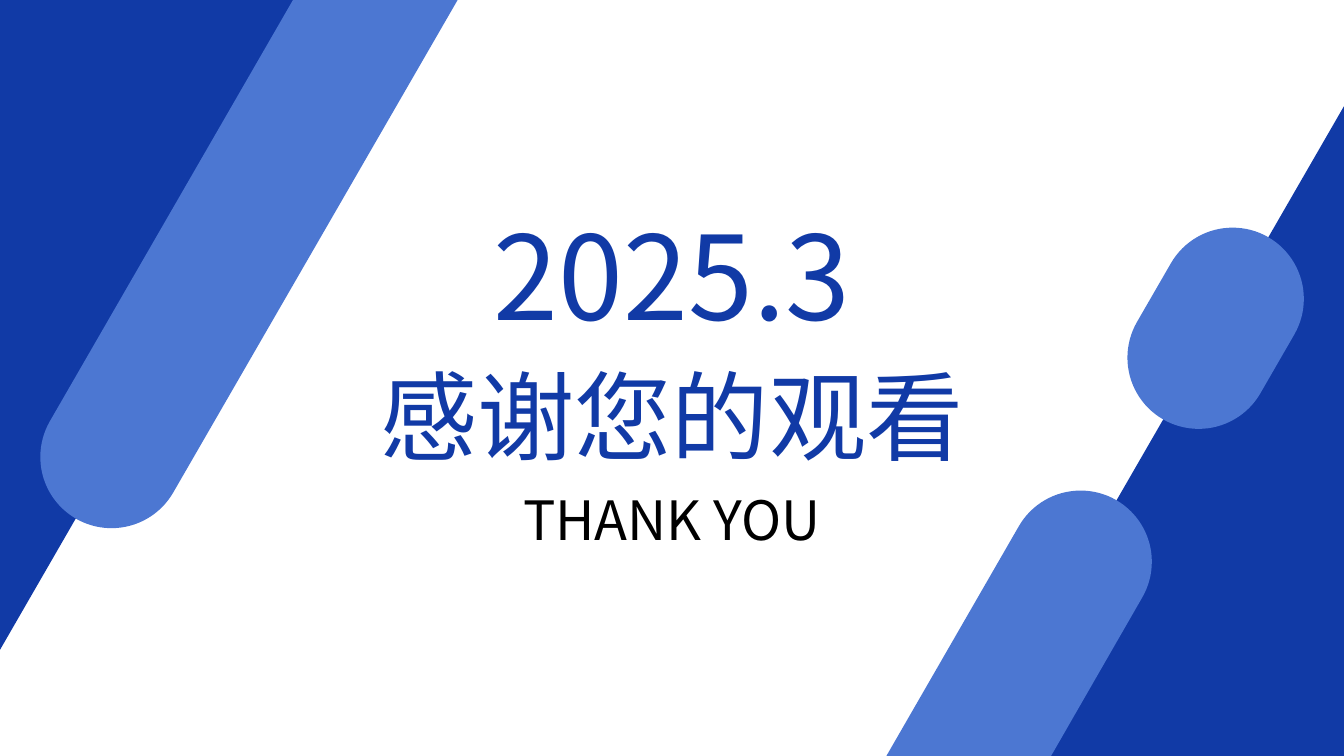
import math

from lxml import etree
from pptx import Presentation
from pptx.dml.color import RGBColor
from pptx.enum.shapes import MSO_SHAPE
from pptx.enum.text import MSO_AUTO_SIZE, PP_ALIGN
from pptx.oxml.ns import qn
from pptx.util import Inches, Pt

ROUNDED = MSO_SHAPE.ROUNDED_RECTANGLE
CENTER = PP_ALIGN.CENTER
GROW = MSO_AUTO_SIZE.SHAPE_TO_FIT_TEXT

WIDTH, HEIGHT = 20, 11.25
CORNER_W, CORNER_H = 5.58, 9.67
CAP_RADIUS = 1.06
NAVY, BLUE, BLACK = "113AA6", "4C77D2", "000000"


def rgb(color):
    return RGBColor.from_string(color)


class Deck:
    font = "Noto Sans CJK SC"

    def __init__(self):
        self.prs = Presentation()
        self.prs.slide_width = Inches(WIDTH)
        self.prs.slide_height = Inches(HEIGHT)
        self.s = self.prs.slides.add_slide(self.prs.slide_layouts[6])

    def paint(self, sp, color):
        sp.shadow.inherit = False
        sp.fill.solid()
        sp.fill.fore_color.rgb = rgb(color)
        sp.line.fill.background()

    def polygon(self, points, color):
        points = [(Inches(x), Inches(y)) for x, y in points]
        builder = self.s.shapes.build_freeform(*points[0])
        builder.add_line_segments(points[1:], close=True)
        sp = builder.convert_to_shape()
        self.paint(sp, color)
        return sp

    def capped_band(self, edge, cx, cy, start, color):
        angles = [math.radians(start + turn) for turn in (0, 60, 150, 180)]

        def on_arc(angle, tangent=0):
            cos, sin = math.cos(angle), math.sin(angle)
            return cx + CAP_RADIUS * (cos - tangent * sin), cy + CAP_RADIUS * (sin + tangent * cos)

        sp = self.polygon(edge + [on_arc(a) for a in angles], color)
        lines = list(sp._element.iter(qn("a:lnTo")))[-3:]
        for line, a, b in zip(lines, angles, angles[1:]):
            k = 4 / 3 * math.tan((b - a) / 4)
            curve = etree.Element(qn("a:cubicBezTo"))
            for x, y in (on_arc(a, k), on_arc(b, -k)):
                etree.SubElement(curve, qn("a:pt"), x=str(Inches(x) - sp.left), y=str(Inches(y) - sp.top))
            curve.append(line[0])
            line.getparent().replace(line, curve)

    def pill(self, x, y, w, h, color, rotation):
        sp = self.s.shapes.add_shape(ROUNDED, Inches(x), Inches(y), Inches(w), Inches(h))
        sp.adjustments[0] = 0.5
        sp.rotation = rotation
        self.paint(sp, color)

    def text(self, text, *, y, h, size, color, x=CORNER_W, w=WIDTH - 2 * CORNER_W):
        sp = self.s.shapes.add_textbox(Inches(x), Inches(y), Inches(w), Inches(h))
        tf = sp.text_frame
        tf.word_wrap = True
        tf.auto_size = GROW
        tf.margin_left = tf.margin_right = tf.margin_top = tf.margin_bottom = 0
        p = tf.paragraphs[0]
        p.alignment = CENTER
        p.line_spacing = Pt(round(size * 1.2, 1))
        r = p.add_run()
        r.text = text
        r.font.size = Pt(size)
        r.font.color.rgb = rgb(color)
        r.font.name = self.font
        etree.SubElement(r.font._element, qn("a:ea"), typeface=self.font)


def main():
    deck = Deck()
    deck.polygon([(WIDTH, HEIGHT), (WIDTH - CORNER_W, HEIGHT), (WIDTH, HEIGHT - CORNER_H)], NAVY)
    deck.polygon([(0, 0), (CORNER_W, 0), (0, CORNER_H)], NAVY)
    deck.pill(17.03, 3.32, 2 * CAP_RADIUS, 3.13, BLUE, 30)
    deck.capped_band([(4.36, 0), (6.81, 0)], 1.66, 6.8, 30, BLUE)
    deck.capped_band([(15.64, HEIGHT), (13.19, HEIGHT)], 16.08, 8.36, 210, BLUE)
    deck.text("THANK YOU", y=7.24, h=0.97, size=58, color=BLACK)
    deck.text("感谢您的观看", y=5.3, h=1.76, size=104.2, color=NAVY)
    deck.text("2025.3", y=3.03, h=2.09, size=125.1, color=NAVY)
    deck.prs.save("out.pptx")


if __name__ == "__main__":
    main()
